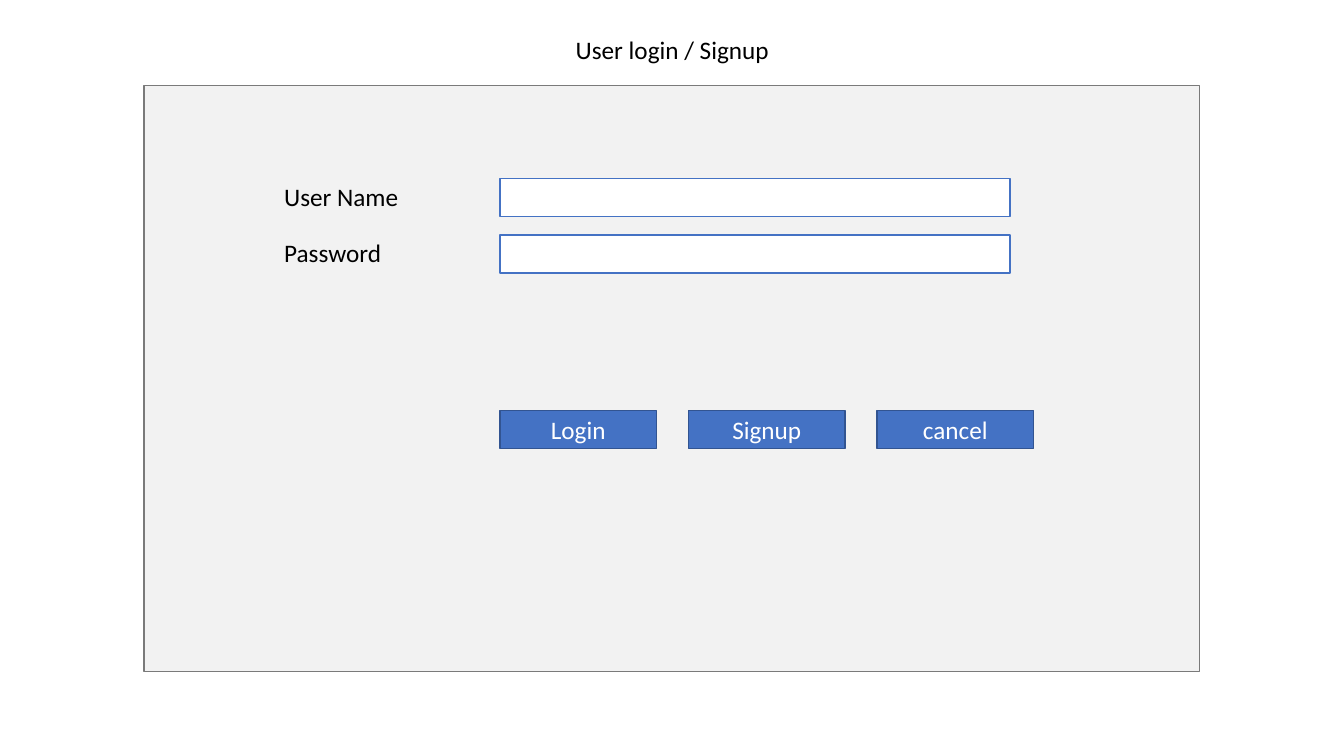
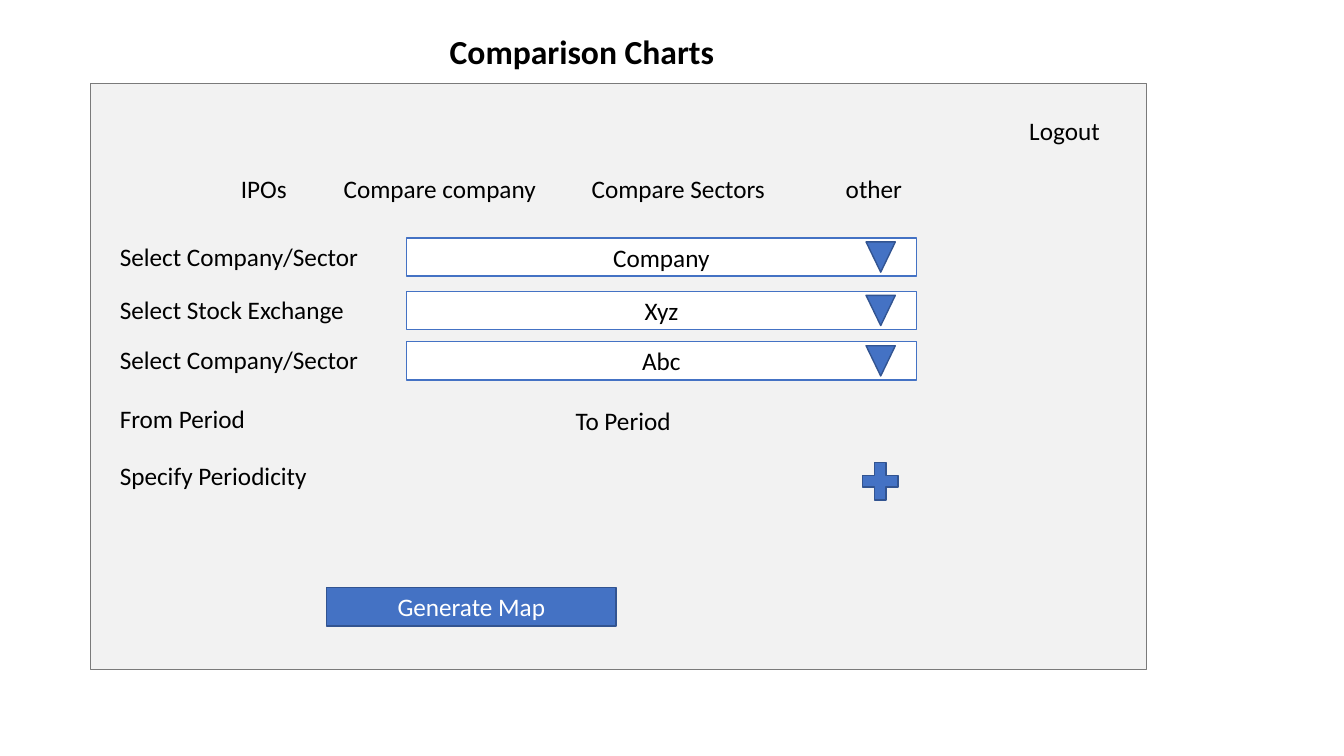
import pptx
import pptx.util
import pptx.dml.color
import pptx.enum.shapes
import pptx.enum.text
import pptx.oxml.ns
import lxml.etree

Inches = pptx.util.Inches
SHAPES = pptx.enum.shapes.MSO_SHAPE
ALIGN = pptx.enum.text.PP_ALIGN
ANCHOR = pptx.enum.text.MSO_ANCHOR

FONT = "Calibri"
BLACK, WHITE = "000000", "FFFFFF"
BLUE, DARK_BLUE = "4472C4", "325491"
PANEL_FILL, PANEL_LINE = "F2F2F2", "7A7A7A"
ROW_HEIGHT = 0.38
LABEL_HEIGHT = 0.4
FIELD_WIDTH = 5.06


def rgb(value):
    """Turn a hex string into a colour."""
    return pptx.dml.color.RGBColor.from_string(value)


def write_text(box, text, size=18, color=BLACK, bold=False,
               align=ALIGN.LEFT, anchor=ANCHOR.TOP):
    """Put one formatted paragraph into a shape."""
    frame = box.text_frame
    frame.word_wrap = True
    frame.auto_size = pptx.enum.text.MSO_AUTO_SIZE.NONE
    frame.vertical_anchor = anchor
    frame.text = text
    paragraph = frame.paragraphs[0]
    paragraph.alignment = align
    font = paragraph.font
    font.name, font.size, font.bold = FONT, pptx.util.Pt(size), bold
    font.color.rgb = rgb(color)
    return paragraph


def add_titled_page(deck, title, left, top, width, height, size=18, bold=False):
    """Add a title-only slide and place its title."""
    page = deck.slides.add_slide(deck.slide_layouts[5])
    box = page.shapes.title
    box.left, box.top = Inches(left), Inches(top)
    box.width, box.height = Inches(width), Inches(height)
    write_text(box, title, size, bold=bold)
    return page


def add_figure(page, kind, left, top, width, height, fill=BLUE, line=DARK_BLUE):
    """Add a preset shape with a thin outline."""
    shape = page.shapes.add_shape(
        kind, Inches(left), Inches(top), Inches(width), Inches(height))
    shape.shadow.inherit = False
    shape.fill.solid()
    shape.fill.fore_color.rgb = rgb(fill)
    shape.line.color.rgb = rgb(line)
    shape.line.width = pptx.util.Pt(1)
    return shape


def add_panel(page, left, top):
    """Add the grey window that holds the form."""
    add_figure(page, SHAPES.RECTANGLE, left, top, 10.47, 5.81,
               PANEL_FILL, PANEL_LINE)


def add_label(page, text, left, top, width):
    """Add a line of plain text and return its paragraph."""
    box = page.shapes.add_textbox(
        Inches(left), Inches(top), Inches(width), Inches(LABEL_HEIGHT))
    return write_text(box, text)


def add_button(page, text, left, top, width):
    """Add a blue button."""
    button = add_figure(page, SHAPES.RECTANGLE, left, top, width, ROW_HEIGHT)
    write_text(button, text, color=WHITE, align=ALIGN.CENTER, anchor=ANCHOR.MIDDLE)


def add_field(page, left, top, value=None):
    """Add a white entry field, with its value if it has one."""
    field = add_figure(page, SHAPES.RECTANGLE, left, top, FIELD_WIDTH,
                       ROW_HEIGHT, WHITE, BLUE)
    if value:
        write_text(field, value, align=ALIGN.CENTER, anchor=ANCHOR.MIDDLE)


def add_dropdown(page, left, top, value):
    """Add a field with a downward arrow at its right end."""
    add_field(page, left, top, value)
    arrow = add_figure(page, SHAPES.ISOSCELES_TRIANGLE,
                       left + FIELD_WIDTH - 0.5, top + 0.04, 0.29, 0.3)
    arrow.rotation = 180


def set_tab_stops(paragraph, positions):
    """Give a paragraph left tab stops, measured in inches."""
    name = pptx.oxml.ns.qn
    properties = paragraph._p.get_or_add_pPr()
    stops = lxml.etree.Element(name("a:tabLst"))
    for position in positions:
        lxml.etree.SubElement(stops, name("a:tab"),
                              pos=str(Inches(position)), algn="l")
    properties.find(name("a:defRPr")).addprevious(stops)


def build_login(deck):
    """Build the login form."""
    page = add_titled_page(deck, "User login / Signup", 5.61, 0.29, 2.4, 0.4)
    add_panel(page, 1.43, 0.85)
    field_left = 4.96
    for row, label in enumerate(("User Name", "Password")):
        top = 1.77 + row * 0.56
        add_label(page, label, 2.72, top - 0.02, 2.37)
        add_field(page, field_left, top)
    for column, label in enumerate(("Login", "Signup", "cancel")):
        add_button(page, label, field_left + column * 1.87, 4.07, 1.55)


def build_comparison(deck):
    """Build the form that compares companies and sectors."""
    page = add_titled_page(deck, "Comparison Charts", 4.36, 0.26, 3.01, 0.5,
                           size=24, bold=True)
    add_panel(page, 0.9, 0.83)
    add_label(page, "Logout", 10.11, 1.09, 0.94)
    menu = add_label(page, "IPOs\tCompare company\tCompare Sectors\tother",
                     2.29, 1.67, 8.66)
    set_tab_stops(menu, (1.02, 3.48, 6))

    label_left, label_width = 1.09, 3.07
    choices = (("Select Company/Sector", "Company", 2.36),
               ("Select Stock Exchange", "Xyz", 2.89),
               ("Select Company/Sector", "Abc", 3.39))
    for label, value, top in choices:
        add_label(page, label, label_left, top - 0.02, label_width)
        add_dropdown(page, 4.03, top, value)

    add_label(page, "From Period", label_left, 3.95, label_width)
    add_label(page, "To Period", 5.61, 3.97, 1.24)
    add_label(page, "Specify Periodicity", label_left, 4.52, label_width)
    add_figure(page, SHAPES.MATH_PLUS, 8.49, 4.52, 0.48, 0.51)
    add_button(page, "Generate Map", 3.24, 5.83, 2.87)


def main():
    """Build and save the deck."""
    deck = pptx.Presentation()
    deck.slide_width, deck.slide_height = Inches(13.33), Inches(7.5)
    build_login(deck)
    build_comparison(deck)
    deck.save("out.pptx")


main()
